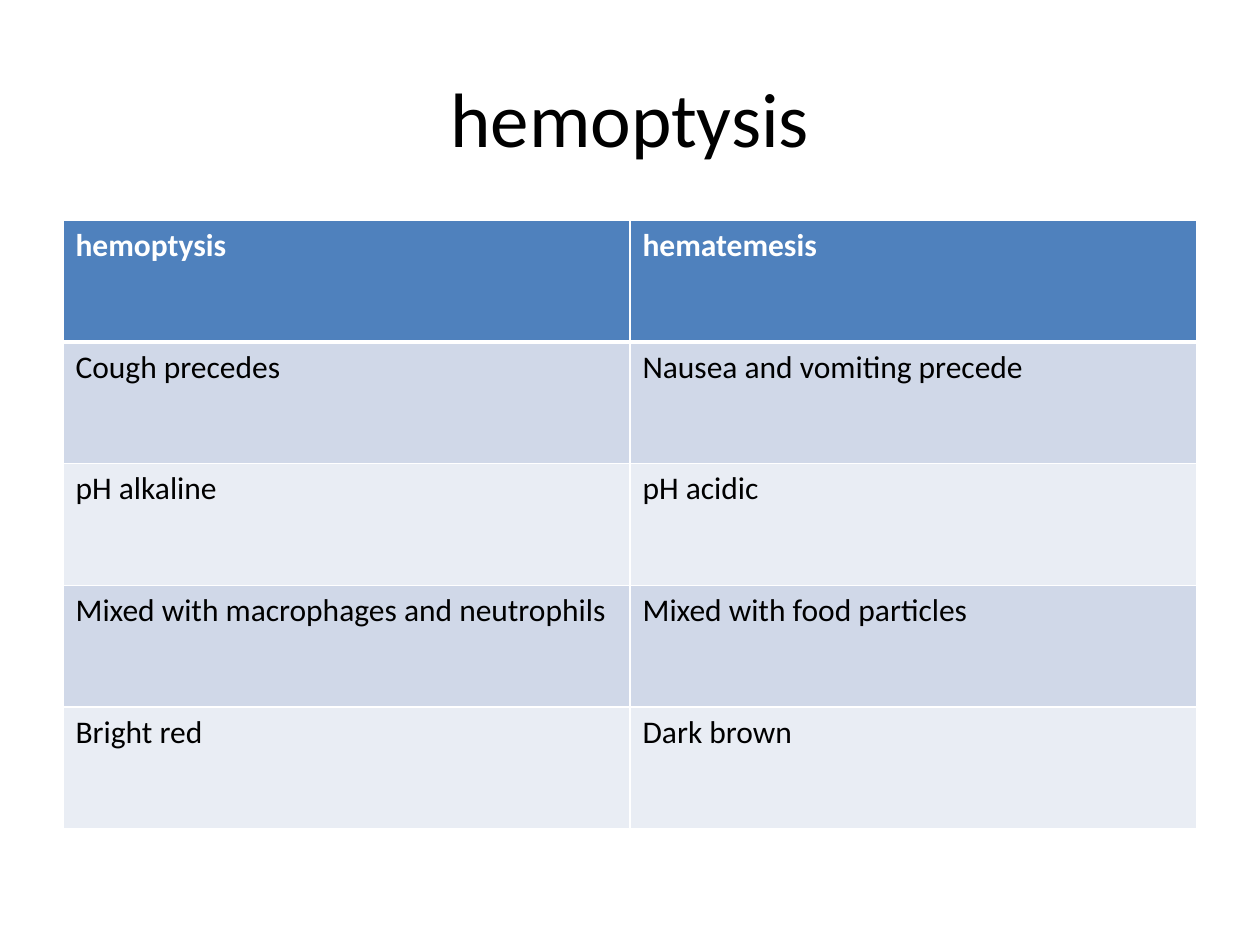
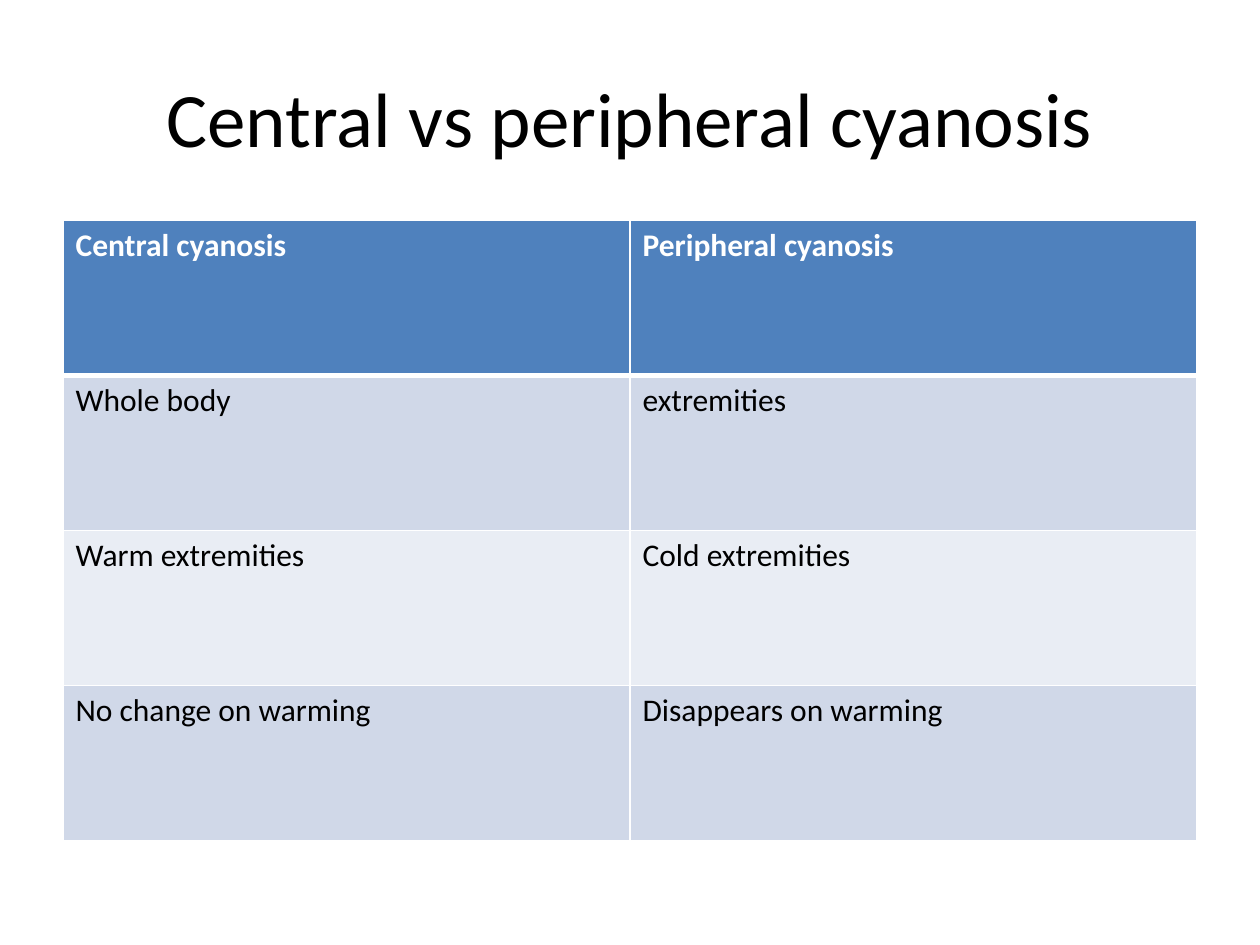
import pptx
import pptx.dml.color
import pptx.enum.text
import pptx.oxml.ns
import pptx.util
from lxml import etree

EMU_PER_PX = 2286  # 400 px to the inch
FONT = "Calibri"
WHITE, BLACK = "FFFFFF", "000000"
HEADER_FILL = "4F81BD"
BAND_FILLS = ["E9EDF4", "D0D8E8"]
MARGIN, CONTENT_WIDTH = 200, 3600
TITLE_TOP, TITLE_HEIGHT = 120, 500
TABLE_TOP = 700

# Title, row height, rows with the header first
comparisons = [
    ("hemoptysis", 386, [
        ("hemoptysis", "hematemesis"),
        ("Cough precedes", "Nausea and vomiting precede"),
        ("pH alkaline", "pH acidic"),
        ("Mixed with macrophages and neutrophils", "Mixed with food particles"),
        ("Bright red", "Dark brown"),
    ]),
    ("Central vs peripheral cyanosis", 492, [
        ("Central cyanosis", "Peripheral cyanosis"),
        ("Whole body", "extremities"),
        ("Warm extremities", "Cold extremities"),
        ("No change on warming", "Disappears on warming"),
    ]),
]


def px(*lengths):
    return [pptx.util.Emu(length * EMU_PER_PX) for length in lengths]


def color(hex_string):
    return pptx.dml.color.RGBColor.from_string(hex_string)


deck = pptx.Presentation()
deck.slide_width, deck.slide_height = px(4000, 3000)

for title, row_height, rows in comparisons:
    page = deck.slides.add_slide(deck.slide_layouts[6])

    # Title
    box = page.shapes.add_textbox(*px(MARGIN, TITLE_TOP, CONTENT_WIDTH, TITLE_HEIGHT))
    frame = box.text_frame
    frame.word_wrap = True
    frame.vertical_anchor = pptx.enum.text.MSO_ANCHOR.MIDDLE
    frame.text = title
    para = frame.paragraphs[0]
    para.alignment = pptx.enum.text.PP_ALIGN.CENTER
    span = para.runs[0]
    span.font.name = FONT
    span.font.size = pptx.util.Pt(44)
    span.font.color.rgb = color(BLACK)

    # Comparison table
    column_count = len(rows[0])
    table = page.shapes.add_table(
        len(rows), column_count,
        *px(MARGIN, TABLE_TOP, CONTENT_WIDTH, row_height * len(rows))).table
    table.horz_banding = False
    for column in table.columns:
        column.width = px(CONTENT_WIDTH // column_count)[0]

    for row_index, texts in enumerate(rows):
        table.rows[row_index].height = px(row_height)[0]
        is_header = row_index == 0
        for column_index, text in enumerate(texts):
            cell = table.cell(row_index, column_index)
            cell.text = text
            span = cell.text_frame.paragraphs[0].runs[0]
            span.font.name = FONT
            span.font.size = pptx.util.Pt(18)
            span.font.bold = is_header
            span.font.color.rgb = color(WHITE if is_header else BLACK)

            # White borders, thicker between header and body
            properties = cell._tc.get_or_add_tcPr()
            for side in "LRTB":
                thick = (row_index, side) in [(0, "B"), (1, "T")]
                line = etree.SubElement(
                    properties, pptx.oxml.ns.qn("a:ln" + side),
                    w=str(pptx.util.Pt(3 if thick else 1)))
                line_fill = etree.SubElement(line, pptx.oxml.ns.qn("a:solidFill"))
                etree.SubElement(line_fill, pptx.oxml.ns.qn("a:srgbClr"), val=WHITE)

            cell.fill.solid()
            cell.fill.fore_color.rgb = color(
                HEADER_FILL if is_header else BAND_FILLS[row_index % 2])

deck.save("out.pptx")
